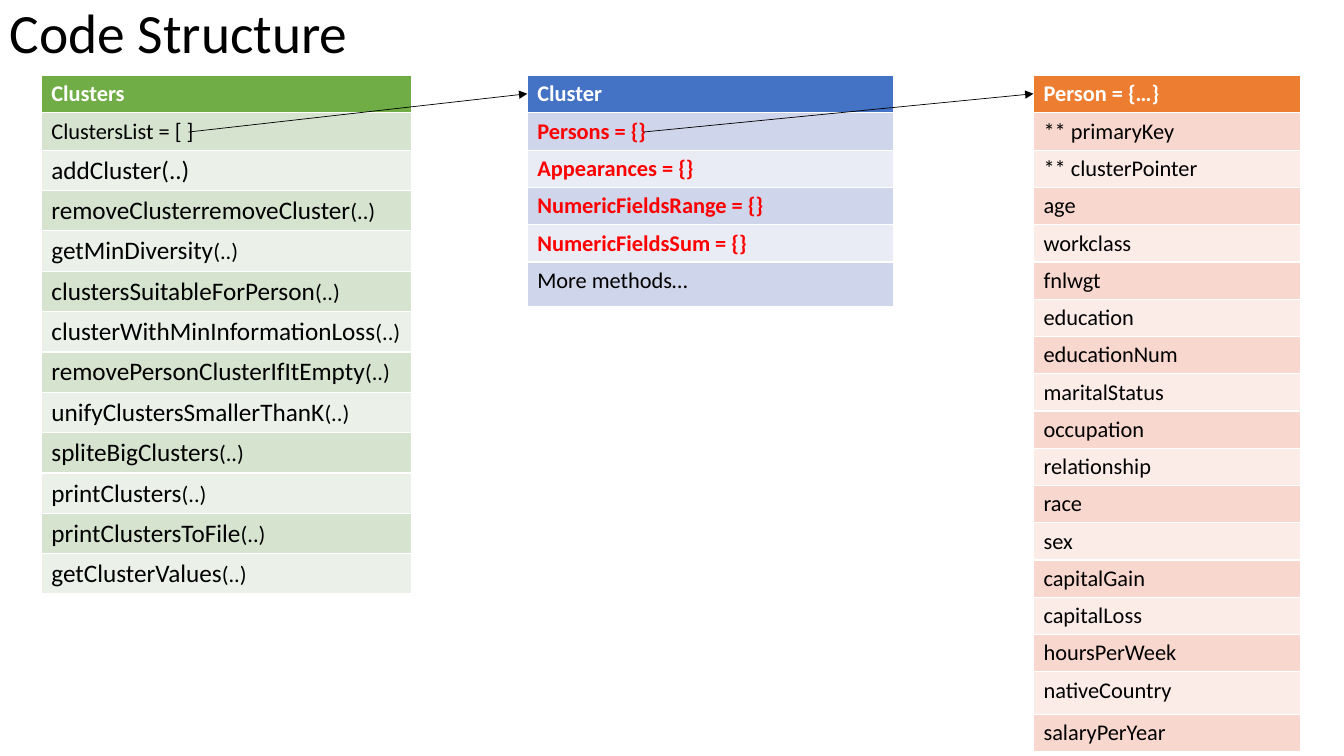
from lxml import etree
from pptx import Presentation, util as u
from pptx.dml.color import RGBColor
from pptx.enum import shapes, text
from pptx.oxml.ns import qn

PX = 9144  # 100 px to the inch

THEME = {
    "font": "Calibri",
    "title_size": 39.6, "body_size": 16, "method_size": 18,
    "ink": "000000", "header_ink": "FFFFFF", "field_ink": "FF0000",
    "green": ("70AD47", "D5E3CF", "EBF1E9"),
    "blue": ("4472C4", "CFD5EA", "E9EBF5"),
    "orange": ("ED7D31", "F8D7CE", "FCECE8"),
}
ROW_HEIGHT, METHOD_ROW_HEIGHT = 37, 40
TABLES_TOP = 75

# left, width, colours, heights of unusual rows, rows; "|" parts a method name from its smaller brackets
CLASSES = [
    (1025, 265, "orange", {16: 42},
     ["Person = {…}", "** primaryKey", "** clusterPointer", "age", "workclass", "fnlwgt",
      "education", "educationNum", "maritalStatus", "occupation", "relationship", "race", "sex",
      "capitalGain", "capitalLoss", "hoursPerWeek", "nativeCountry", "salaryPerYear"]),
    (41, 367, "green", {},
     ["Clusters", "ClustersList = [ ]", "addCluster(..)", "removeClusterremoveCluster|(..)",
      "getMinDiversity|(..)", "clustersSuitableForPerson|(..)",
      "clusterWithMinInformationLoss|(..)", "removePersonClusterIfItEmpty|(..)",
      "unifyClustersSmallerThanK|(..)", "spliteBigClusters|(..)", "printClusters|(..)",
      "printClustersToFile|(..)", "getClusterValues|(..)"]),
    (523, 363, "blue", {5: 44},
     ["Cluster", "Persons = {}", "Appearances = {}", "NumericFieldsRange = {}",
      "NumericFieldsSum = {}", "More methods…"]),
]
REFERENCES = [(187, 523), (638, 1025)]  # arrows from a field to a class header
FIELD_Y, HEADER_Y = 131, 93


def add_run(paragraph, words, size, color, bold=False):
    run = paragraph.add_run()
    run.text = words
    run.font.name = THEME["font"]
    run.font.size = u.Pt(size)
    run.font.bold = bold
    run.font.color.rgb = RGBColor.from_string(color)


deck = Presentation()
deck.slide_width, deck.slide_height = 1333 * PX, 750 * PX
slide = deck.slides.add_slide(deck.slide_layouts[6])

title = slide.shapes.add_textbox(0, 0, 1242 * PX, 75 * PX).text_frame
title.word_wrap = True
title.vertical_anchor = text.MSO_ANCHOR.BOTTOM
title.margin_left = title.margin_right = title.margin_top = title.margin_bottom = 10 * PX
title.paragraphs[0].line_spacing = 0.9
add_run(title.paragraphs[0], "Code Structure", THEME["title_size"], THEME["ink"])

for left, width, palette, tall_rows, members in CLASSES:
    header_fill, *bands = THEME[palette]
    heights = [tall_rows.get(i, METHOD_ROW_HEIGHT if "(..)" in member else ROW_HEIGHT)
               for i, member in enumerate(members)]
    table = slide.shapes.add_table(len(members), 1, left * PX, TABLES_TOP * PX,
                                   width * PX, sum(heights) * PX).table
    for i, (member, height) in enumerate(zip(members, heights)):
        table.rows[i].height = height * PX
        is_header = i == 0
        is_field = member.endswith("= {}")
        color = THEME["header_ink" if is_header else "field_ink" if is_field else "ink"]
        cell = table.cell(i, 0)
        cell.fill.solid()
        cell.fill.fore_color.rgb = RGBColor.from_string(
            header_fill if is_header else bands[(i - 1) % 2])
        name, _, brackets = member.partition("|")
        paragraph = cell.text_frame.paragraphs[0]
        add_run(paragraph, name, THEME["method_size" if "(..)" in member else "body_size"],
                color, is_header or is_field)
        if brackets:
            add_run(paragraph, brackets, THEME["body_size"], color)

for field_x, header_x in REFERENCES:
    arrow = slide.shapes.add_connector(shapes.MSO_CONNECTOR.STRAIGHT, field_x * PX, FIELD_Y * PX,
                                       header_x * PX, HEADER_Y * PX)
    arrow.line.color.rgb = RGBColor.from_string(THEME["ink"])
    arrow.line.width = u.Pt(0.5)
    etree.SubElement(arrow.line._get_or_add_ln(), qn("a:tailEnd"), type="triangle")
    etree.SubElement(arrow._element.spPr, qn("a:effectLst"))

deck.save("out.pptx")
